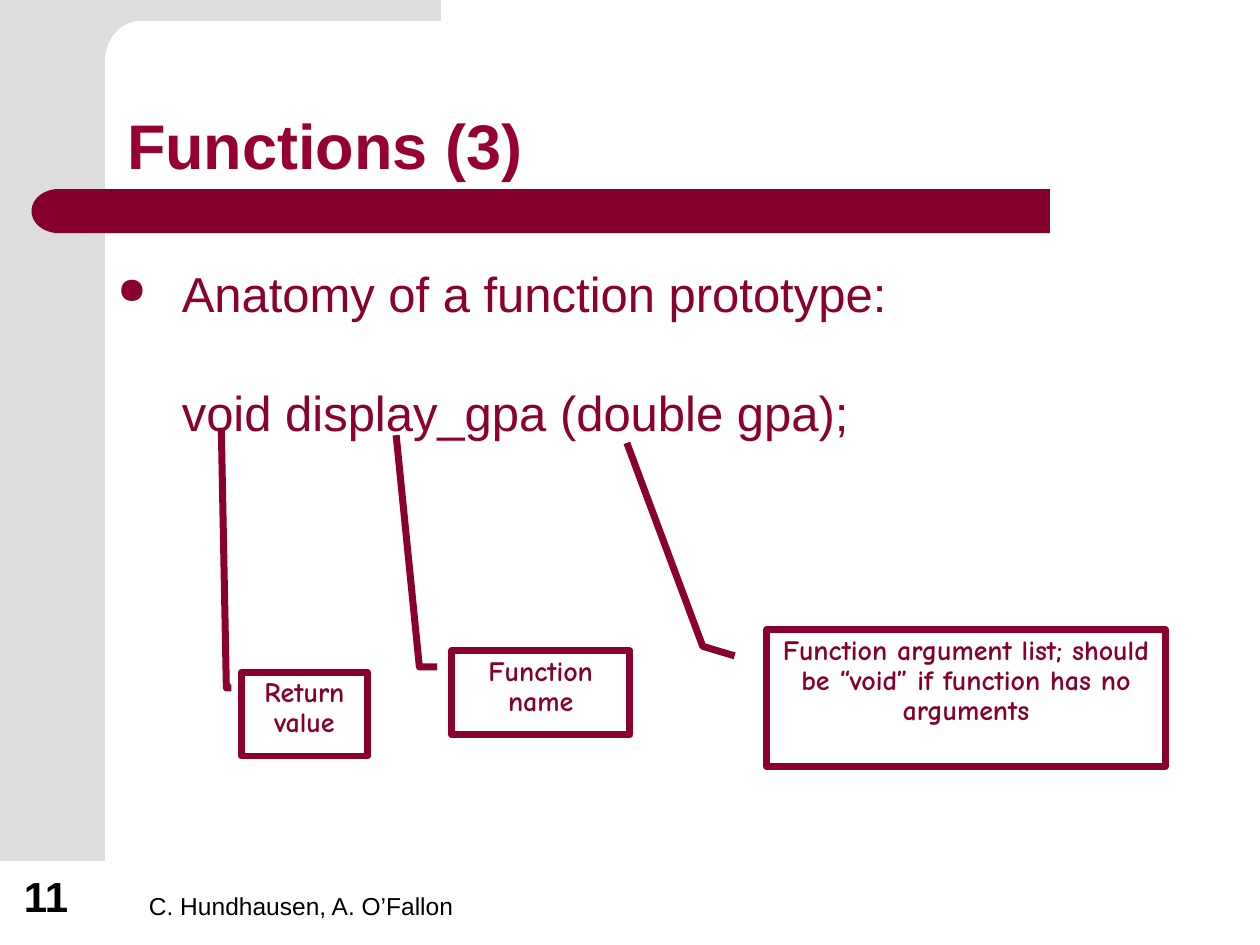
import math

from lxml import etree
from pptx import Presentation
from pptx.dml.color import RGBColor
from pptx.enum.shapes import MSO_SHAPE
from pptx.enum.text import MSO_ANCHOR, PP_ALIGN
from pptx.oxml.ns import qn
from pptx.util import Pt

RECT, DELAY = MSO_SHAPE.RECTANGLE, MSO_SHAPE.FLOWCHART_DELAY
CALLOUT = MSO_SHAPE.LINE_CALLOUT_2
TOP, BOTTOM = MSO_ANCHOR.TOP, MSO_ANCHOR.BOTTOM
CENTER = PP_ALIGN.CENTER

COLORS = {
    "panel": "DDDDDD",
    "bar": "86002D",
    "title": "960032",
    "body": "8A002E",
    "footer": "000000",
}

# Box, text, then the callout's adjustments: y and x of each line point
CALLOUTS = [
    ((138, 384, 72, 48), "Return value",
     (0.19, -0.08, 0.19, -0.12, -2.91, -0.16)),
    ((258, 372, 102, 48), "Function name",
     (0.19, -0.08, 0.19, -0.18, -2.57, -0.31)),
    ((438, 360, 228, 78),
     "Function argument list; should be “void” if function has no arguments",
     (0.19, -0.08, 0.12, -0.16, -1.37, -0.35)),
]


def rgb(name):
    return RGBColor.from_string(COLORS[name])


def paint(sp, color):
    sp.shadow.inherit = False
    sp.fill.solid()
    sp.fill.fore_color.rgb = rgb(color)
    sp.line.fill.background()


def add_block(s, kind, box, color):
    sp = s.shapes.add_shape(kind, *map(Pt, box))
    paint(sp, color)
    return sp


def style(p, size, color, bold=False, font="Arial"):
    p.font.size = Pt(size)
    p.font.name = font
    p.font.bold = bold
    p.font.color.rgb = rgb(color)


def add_text(s, box, text, size, color, bold=False, anchor=BOTTOM):
    tf = s.shapes.add_textbox(*map(Pt, box)).text_frame
    tf.word_wrap = True
    tf.vertical_anchor = anchor
    p = tf.paragraphs[0]
    p.text = text
    style(p, size, color, bold)
    return tf


def add_side_panel(s, box):
    """Side strip and top band joined by a rounded inner corner."""
    x, y, w, h = box
    add_block(s, RECT, box, "panel")
    band, rx, ry = 12, 20, 23
    right = x + w
    arc = []
    for degrees in range(0, 91, 5):
        a = math.radians(degrees)
        arc.append((right + rx * (1 - math.sin(a)),
                    y + band + ry * (1 - math.cos(a))))
    outline = [(x + 252, y + band), *arc, (right, y + 44),
               (x + 36, y + 44), (x + 36, y)]
    builder = s.shapes.build_freeform(Pt(x + 252), Pt(y))
    builder.add_line_segments([(Pt(px), Pt(py)) for px, py in outline])
    paint(builder.convert_to_shape(), "panel")


def add_title_bar(s, box):
    x, y, w, h = box
    cap = 31
    add_block(s, RECT, (x + cap - 1, y, w - cap + 1, h), "bar")
    add_block(s, DELAY, (x, y, cap, h), "bar").rotation = 180


def add_body(s, box):
    tf = add_text(s, box, "Anatomy of a function prototype:", 28, "body",
                  anchor=TOP)
    indent = Pt(36.8)
    first = tf.paragraphs[0]
    pPr = first._p.get_or_add_pPr()
    pPr.set("marL", str(indent))
    pPr.set("indent", str(-indent))
    bullet_color = etree.Element(qn("a:buClr"))
    etree.SubElement(bullet_color, qn("a:srgbClr"), val=COLORS["body"])
    bullet = [bullet_color,
              etree.Element(qn("a:buSzPct"), val="75000"),
              etree.Element(qn("a:buChar"), char="●")]
    for i, element in enumerate(bullet):
        pPr.insert(i, element)

    code = tf.add_paragraph()
    code.text = "void display_gpa (double gpa);"
    code._p.get_or_add_pPr().set("marL", str(indent))
    code.space_before = Pt(34.5)
    style(code, 28, "body")


def add_callout(s, box, text, adjustments):
    sp = s.shapes.add_shape(CALLOUT, *map(Pt, box))
    sp.shadow.inherit = False
    sp.fill.background()
    sp.line.color.rgb = rgb("body")
    sp.line.width = Pt(4)
    for i, value in enumerate(adjustments):
        sp.adjustments[i] = value
    tf = sp.text_frame
    tf.word_wrap = True
    tf.vertical_anchor = TOP
    p = tf.paragraphs[0]
    p.text = text
    p.alignment = CENTER
    p.line_spacing = 0.9
    style(p, 16, "bar", True, "Comic Neue")


def main():
    prs = Presentation()
    prs.slide_width, prs.slide_height = Pt(720), Pt(540)
    s = prs.slides.add_slide(prs.slide_layouts[6])
    add_side_panel(s, (0, 0, 60, 492))
    add_title_bar(s, (18, 108, 582, 25.2))
    add_text(s, (78, 492, 270, 37.5), "C. Hundhausen, A. O’Fallon", 14, "footer")
    add_text(s, (6.5, 492, 46, 38), "11", 24, "footer", True)
    title = add_text(s, (65.5, 29.5, 613, 78.5), "Functions (3)", 36, "title", True)
    title.paragraphs[0].line_spacing = 0.9
    add_body(s, (60, 147, 605, 290))
    for box, text, adjustments in CALLOUTS:
        add_callout(s, box, text, adjustments)
    prs.save("out.pptx")


if __name__ == "__main__":
    main()
